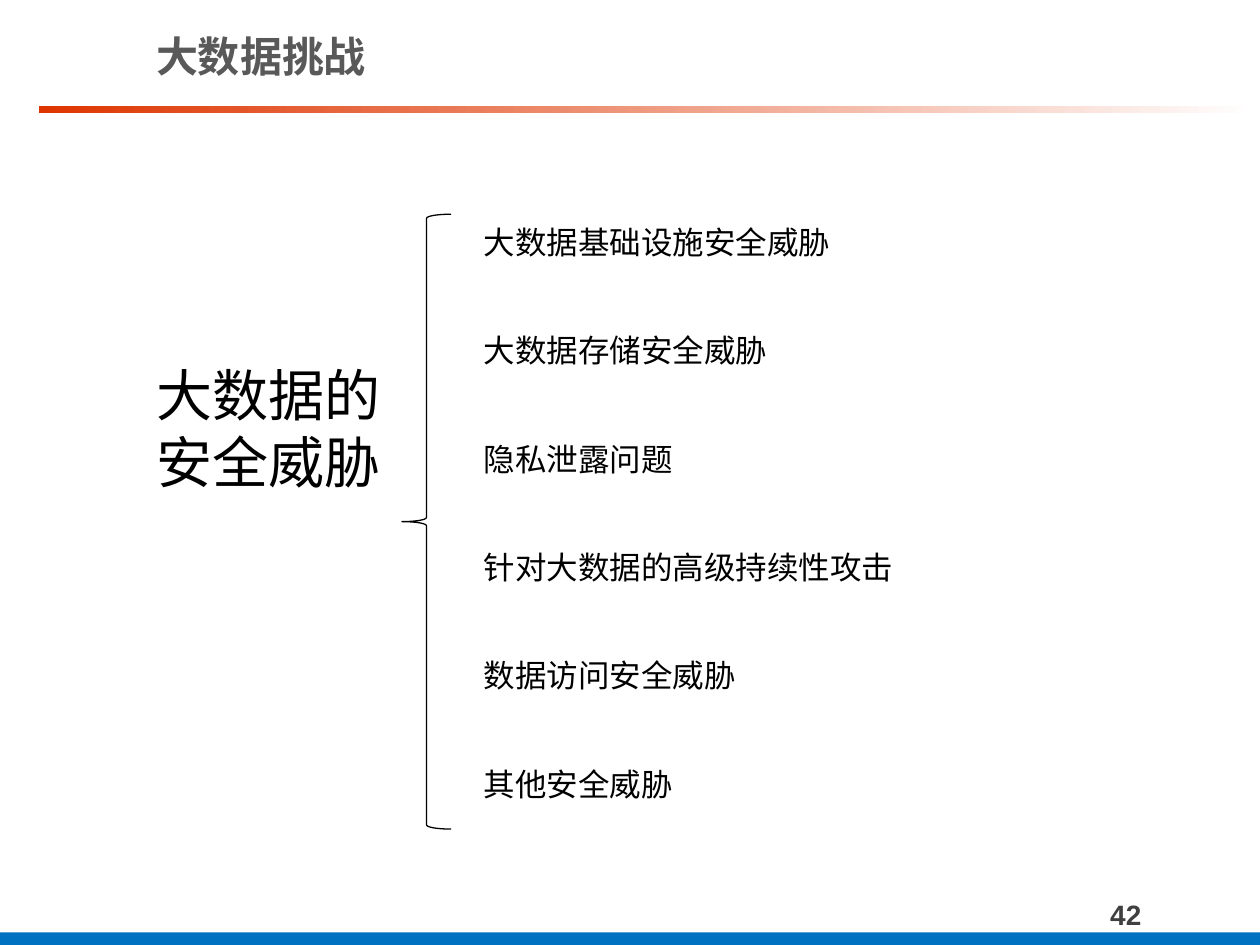
from lxml import etree
from pptx import Presentation
from pptx.dml.color import RGBColor
from pptx.enum.shapes import MSO_SHAPE
from pptx.enum.text import MSO_ANCHOR, PP_ALIGN
from pptx.oxml.ns import qn
from pptx.util import Inches, Pt

RECT, BRACE = MSO_SHAPE.RECTANGLE, MSO_SHAPE.LEFT_BRACE
TOP, MIDDLE = MSO_ANCHOR.TOP, MSO_ANCHOR.MIDDLE
LEFT, CENTER = PP_ALIGN.LEFT, PP_ALIGN.CENTER

W, H = 10, 7.5
MARGIN = 1.14  # left edge shared by the title and the topic
THREATS = [
    "大数据基础设施安全威胁",
    "大数据存储安全威胁",
    "隐私泄露问题",
    "针对大数据的高级持续性攻击",
    "数据访问安全威胁",
    "其他安全威胁",
]


def rgb(color):
    return RGBColor.from_string(color)


def add_text(s, box, text, size=18, color="000000", font="Arial",
             bold=False, align=LEFT, anchor=TOP):
    tf = s.shapes.add_textbox(*map(Inches, box)).text_frame
    tf.word_wrap = True
    tf.vertical_anchor = anchor
    p = tf.paragraphs[0]
    p.alignment = align
    r = p.add_run()
    r.text = text
    r.font.size, r.font.bold, r.font.name = Pt(size), bold, font
    r.font.color.rgb = rgb(color)
    # Chinese glyphs take the East Asian typeface
    etree.SubElement(r.font._element, qn("a:ea"), typeface=font)


def add_shape(s, kind, box, fill=None, line=None):
    sp = s.shapes.add_shape(kind, *map(Inches, box))
    sp.shadow.inherit = False
    if fill:
        sp.fill.solid()
        sp.fill.fore_color.rgb = rgb(fill)
    else:
        sp.fill.background()
    if line:
        sp.line.color.rgb = rgb(line)
        sp.line.width = Pt(0.75)
    else:
        sp.line.fill.background()
    return sp


def add_header(s, x, y, w, h):
    """Title above a rule that fades to white."""
    add_text(s, (MARGIN, y, W - 0.5 - MARGIN, 0.63), "大数据挑战", size=24,
             color="595959", font="Noto Sans CJK SC", bold=True, anchor=MIDDLE)
    rule = add_shape(s, RECT, (x, y + h - 0.06, w, 0.06))
    rule.fill.gradient()
    rule.fill.gradient_angle = 0
    for stop, color, pos in zip(rule.fill.gradient_stops,
                                ("DE3500", "FFFFFF"), (0, 1)):
        stop.color.rgb = rgb(color)
        stop.position = pos


def add_threats(s, x, y, w, h):
    """Topic, brace and one evenly spaced row per threat."""
    add_text(s, (x, y + 1.11, 2.2, 1.18), "大数据的安全威胁", size=32)
    brace = add_shape(s, BRACE, (x + 2.05, y, 0.39, h), line="000000")
    brace.adjustments[0] = 0.083
    brace.adjustments[1] = 0.5
    row_h, first, list_x = 0.86, y + 0.02, x + 2.6
    for i, threat in enumerate(THREATS):
        add_text(s, (list_x, first + i * row_h, x + w - list_x, 0.4), threat)


def add_footer(s, x, y, w, h):
    """Page number above a blue band."""
    add_shape(s, RECT, (x, y + h - 0.1, w, 0.1), fill="0070C0")
    add_text(s, (7.87, y, 2.13, 0.37), "42", size=16, color="404040",
             bold=True, align=CENTER, anchor=MIDDLE)


def main():
    prs = Presentation()
    prs.slide_width, prs.slide_height = Inches(W), Inches(H)
    s = prs.slides.add_slide(prs.slide_layouts[6])
    add_header(s, 0.31, 0.13, 9.65, 0.77)
    add_threats(s, MARGIN, 1.7, 6.15, 4.88)
    add_footer(s, 0, 7.07, W, H - 7.07)
    prs.save("out.pptx")


if __name__ == "__main__":
    main()
